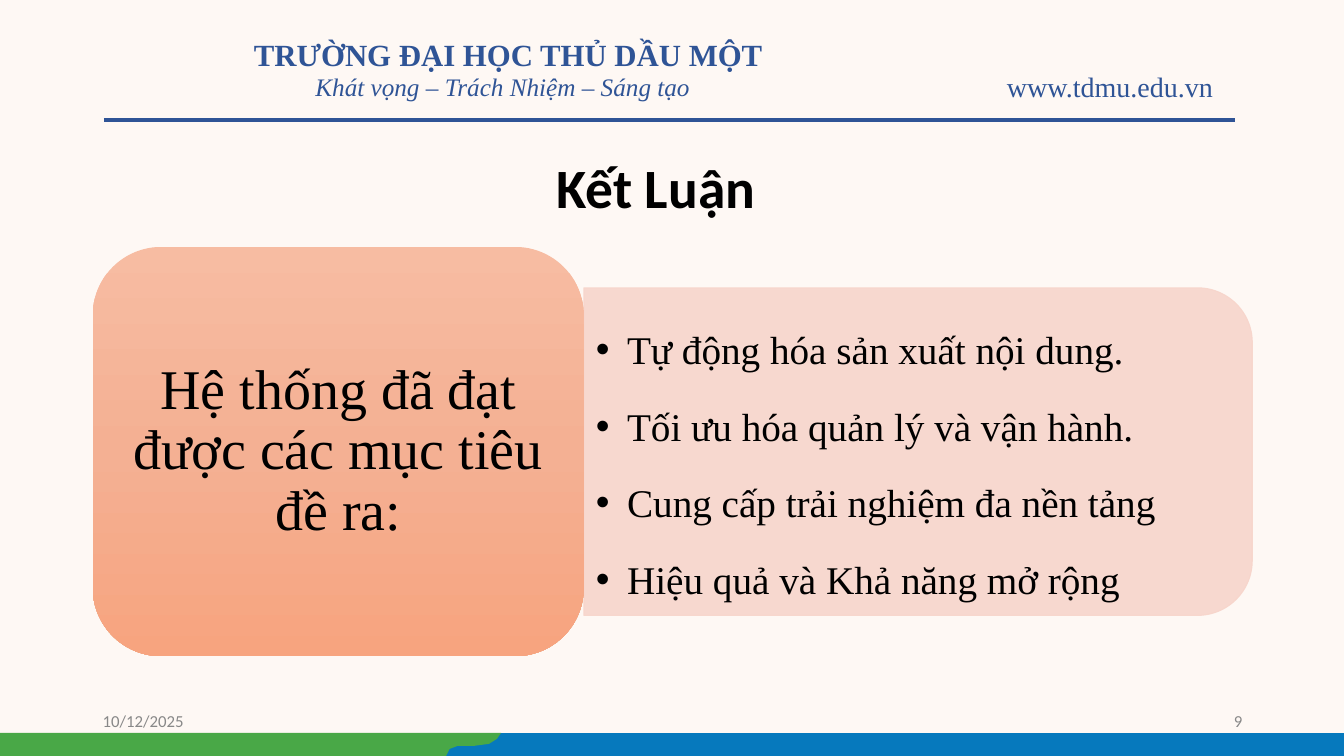
"""Build the conclusion slide of a university deck."""
from lxml.etree import SubElement
from pptx import Presentation
from pptx.dml.color import RGBColor
from pptx.enum.shapes import MSO_CONNECTOR, MSO_SHAPE
from pptx.enum.text import MSO_ANCHOR, PP_ALIGN
from pptx.oxml.ns import qn
from pptx.util import Inches, Pt

W, H = 13.33, 7.5
CREAM = RGBColor(0xFE, 0xF8, 0xF4)
NAVY = RGBColor(0x2F, 0x54, 0x96)
BLUE = RGBColor(0x06, 0x79, 0xBD)
GREEN = RGBColor(0x49, 0xA8, 0x47)
BLACK = RGBColor(0, 0, 0)
GREY = RGBColor(0x88, 0x88, 0x88)
BLUSH = RGBColor(0xF7, 0xD5, 0xCB)
PEACH = [
    (0, RGBColor(0xF7, 0xBC, 0xA2)),
    (50, RGBColor(0xF4, 0xB0, 0x93)),
    (100, RGBColor(0xF7, 0xA4, 0x7F)),
]
SERIF, SANS = "Times New Roman", "Calibri"
TOP, MID = MSO_ANCHOR.TOP, MSO_ANCHOR.MIDDLE
LEFT, CENTER, RIGHT = PP_ALIGN.LEFT, PP_ALIGN.CENTER, PP_ALIGN.RIGHT

GOAL = "Hệ thống đã đạt được các mục tiêu đề ra:"
RESULTS = [
    "Tự động hóa sản xuất nội dung.",
    "Tối ưu hóa quản lý và vận hành.",
    "Cung cấp trải nghiệm đa nền tảng",
    "Hiệu quả và Khả năng mở rộng",
]
LABELS = [
    ("TRƯỜNG ĐẠI HỌC THỦ DẦU MỘT", (2.42, 0.31, 5.98, 0.47), LEFT, TOP, NAVY,
     {"name": SERIF, "size": Pt(22), "bold": True}),
    ("Khát vọng – Trách Nhiệm – Sáng tạo", (3.03, 0.66, 6.14, 0.4), LEFT, TOP, NAVY,
     {"name": SERIF, "size": Pt(18), "italic": True}),
    ("www.tdmu.edu.vn", (9.01, 0.64, 3.12, 0.44), RIGHT, TOP, NAVY,
     {"name": SERIF, "size": Pt(20)}),
    ("Kết Luận", (5.42, 1.54, 2.49, 0.6), LEFT, TOP, BLACK,
     {"name": SANS, "size": Pt(39.6), "bold": True}),
    ("10/12/2025", (0.92, 6.95, 3, 0.4), LEFT, MID, GREY,
     {"name": SANS, "size": Pt(12)}),
    ("9", (9.42, 6.95, 3, 0.4), RIGHT, MID, GREY,
     {"name": SANS, "size": Pt(12)}),
]
FOOTER = [
    (BLUE, [(0, 727), (0, 750), (1334, 750), (1334, 727)]),
    (GREEN, [(0, 727), (0, 751), (442, 751), (446, 743), (454, 740),
             (470, 740), (485, 738), (493, 733), (497, 727)]),
]
CARD = (0.92, 2.45, 4.87, 4.06)
PANEL_W, PANEL_H = 6.63, 3.25
CORNER = 0.167


def inches(*values):
    return [Inches(v) for v in values]


def style(font, color, formats):
    for key, value in formats.items():
        setattr(font, key, value)
    font.color.rgb = color


def frame(shape, anchor, side, end):
    tf = shape.text_frame
    formats = {"word_wrap": True, "vertical_anchor": anchor,
               "margin_left": Inches(side), "margin_right": Inches(side),
               "margin_top": Inches(end), "margin_bottom": Inches(end)}
    for key, value in formats.items():
        setattr(tf, key, value)
    return tf


def write(p, text, align, color, formats, spacing=None):
    p.alignment, p.line_spacing = align, spacing
    r = p.add_run()
    r.text = text
    style(r.font, color, formats)


def bullet(p):
    pPr = p._p.get_or_add_pPr()
    pPr.set("marL", str(Inches(0.31)))
    pPr.set("indent", str(-Inches(0.31)))
    SubElement(pPr, qn("a:buFont"), typeface="Arial")
    SubElement(pPr, qn("a:buChar"), char="•")


def add_shape(s, kind, box):
    sp = s.shapes.add_shape(kind, *inches(*box))
    sp.shadow.inherit = False
    sp.line.fill.background()
    return sp


def add_footer(s):
    for color, (start, *rest) in FOOTER:
        builder = s.shapes.build_freeform(*start, scale=Inches(0.01))
        builder.add_line_segments(rest, close=True)
        sp = builder.convert_to_shape()
        sp.shadow.inherit = False
        sp.fill.solid()
        sp.fill.fore_color.rgb = color
        sp.line.fill.background()


def add_rule(s):
    line = s.shapes.add_connector(MSO_CONNECTOR.STRAIGHT, *inches(1.03, 1.19, 12.25, 1.19))
    line.line.color.rgb = NAVY
    line.line.width = Pt(2.5)
    SubElement(line._element.spPr, qn("a:effectLst"))


def add_panel(s):
    left, top, width, height = CARD
    x = left + width
    cx, cy = x + PANEL_W / 2, top + height / 2
    box = (cx - PANEL_H / 2, cy - PANEL_W / 2, PANEL_H, PANEL_W)
    sp = add_shape(s, MSO_SHAPE.ROUND_2_SAME_RECTANGLE, box)
    sp.rotation = 90
    sp.adjustments[0], sp.adjustments[1] = CORNER, 0
    sp.fill.solid()
    sp.fill.fore_color.rgb = BLUSH
    sp.line.color.rgb = BLUSH
    sp.line.width = Pt(0.75)
    for color in sp._element.spPr.iter(qn("a:srgbClr")):
        SubElement(color, qn("a:alpha"), val="90000")

    tb = s.shapes.add_textbox(*inches(x, 3.02, 6.47, 2.93))
    tf = frame(tb, MID, 0.12, 0.06)
    for i, text in enumerate(RESULTS):
        p = tf.add_paragraph() if i else tf.paragraphs[0]
        bullet(p)
        if i:
            p.space_before = Pt(4.2)
        write(p, text, LEFT, BLACK, {"name": SERIF, "size": Pt(28)}, 1.5)


def add_card(s):
    sp = add_shape(s, MSO_SHAPE.ROUNDED_RECTANGLE, CARD)
    sp.adjustments[0] = CORNER
    sp.fill.gradient()
    sp.fill.gradient_angle = 270
    stops = sp._element.spPr.find(qn("a:gradFill")).find(qn("a:gsLst"))
    stops.clear()
    for share, color in PEACH:
        stop = SubElement(stops, qn("a:gs"), pos=str(share * 1000))
        SubElement(stop, qn("a:srgbClr"), val=str(color))
    tf = frame(sp, MID, 0.17, 0.08)
    write(tf.paragraphs[0], GOAL, CENTER, BLACK, {"name": SERIF, "size": Pt(40)}, 0.9)


def main():
    prs = Presentation()
    prs.slide_width, prs.slide_height = inches(W, H)
    s = prs.slides.add_slide(prs.slide_layouts[6])
    s.background.fill.solid()
    s.background.fill.fore_color.rgb = CREAM
    add_footer(s)
    add_rule(s)
    add_panel(s)
    add_card(s)
    for text, box, align, anchor, color, formats in LABELS:
        tf = frame(s.shapes.add_textbox(*inches(*box)), anchor, 0.1, 0.05)
        spacing = 0.9 if text == "Kết Luận" else None
        write(tf.paragraphs[0], text, align, color, formats, spacing)
    prs.save("out.pptx")


if __name__ == "__main__":
    main()
